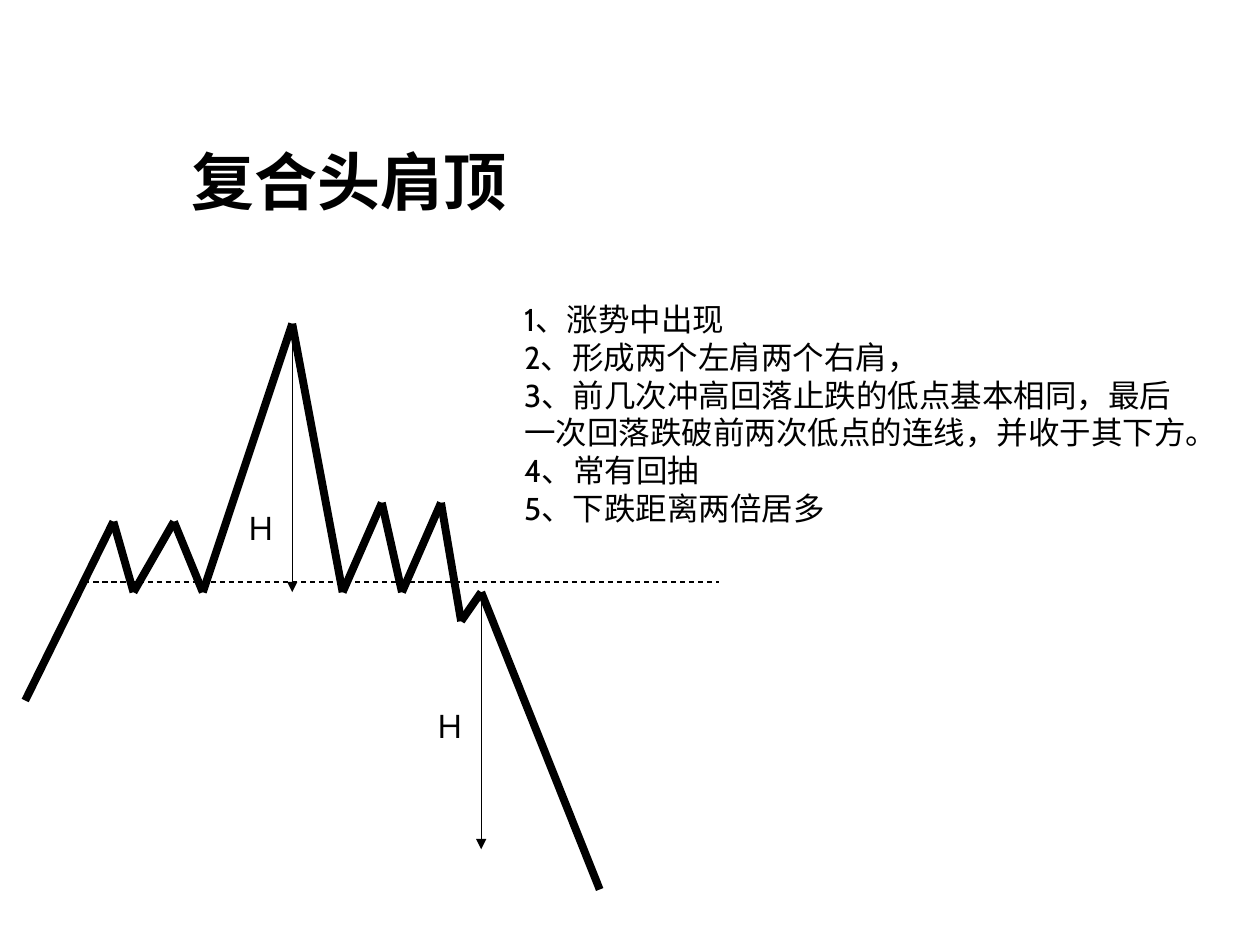
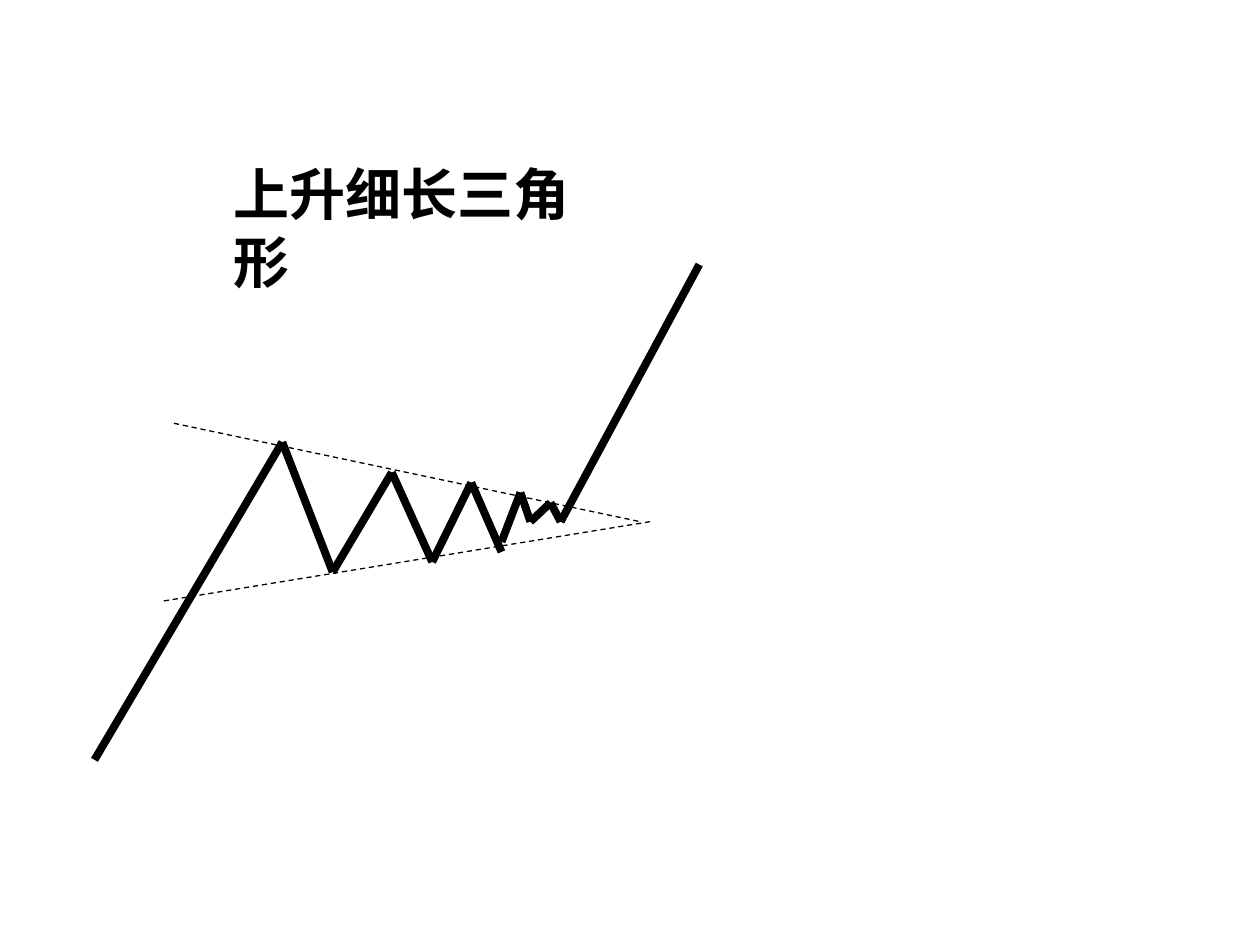
from dataclasses import dataclass
from itertools import pairwise

from pptx import Presentation
from pptx.dml.color import RGBColor
from pptx.enum.dml import MSO_LINE_DASH_STYLE as Dash
from pptx.enum.shapes import MSO_CONNECTOR_TYPE as Connector
from pptx.enum.text import MSO_ANCHOR as Anchor, MSO_AUTO_SIZE as AutoSize, PP_ALIGN as Align
from pptx.oxml.ns import qn
from pptx.util import Pt
from lxml.etree import SubElement


@dataclass(frozen=True)
class Theme:
    ink: RGBColor = RGBColor(0, 0, 0)
    font: str = "Cabin"
    first_title_size: float = 36
    second_title_size: float = 32
    body_size: float = 18
    price_width: float = 4.5
    guide_width: float = 0.75


class ChartPatternDeck:
    TITLE_AND_CONTENT = 1
    TITLE_ONLY = 5

    def __init__(self, theme):
        self.theme = theme
        self.deck = Presentation()
        self.deck.slide_width, self.deck.slide_height = Pt(720), Pt(540)
        self.slide = None

    def start(self, layout):
        self.slide = self.deck.slides.add_slide(self.deck.slide_layouts[layout])

    def fill_text(self, holder, lines, box, size, bold=False, wrap=False):
        holder.left, holder.top, holder.width, holder.height = map(Pt, box)
        frame = holder.text_frame
        frame.text = "\n".join(lines)
        frame.word_wrap = wrap
        frame.auto_size = AutoSize.SHAPE_TO_FIT_TEXT
        frame.vertical_anchor = Anchor.TOP
        for paragraph in frame.paragraphs:
            properties = paragraph._p.get_or_add_pPr()
            properties.set("marL", "0")
            properties.set("indent", "0")
            SubElement(properties, qn("a:buNone"))
            paragraph.alignment = Align.LEFT
            paragraph.space_before = Pt(0)
            for run in paragraph.runs:
                run.font.name = self.theme.font
                run.font.size = Pt(size)
                run.font.bold = bold
                run.font.color.rgb = self.theme.ink

    def title(self, wording, box, size):
        self.fill_text(self.slide.shapes.title, [wording], box, size, bold=True)

    def rules(self, lines, box):
        self.fill_text(self.slide.placeholders[1], lines, box, self.theme.body_size, wrap=True)

    def label(self, wording, left, top):
        box = (left, top, 32.4, 28.8)
        self.fill_text(self.slide.shapes.add_textbox(*map(Pt, box)), [wording], box, self.theme.body_size)

    def stroke(self, start, end, width):
        segment = self.slide.shapes.add_connector(Connector.STRAIGHT, *map(Pt, (*start, *end)))
        segment.line.color.rgb = self.theme.ink
        segment.line.width = Pt(width)
        SubElement(segment._element.spPr, qn("a:effectLst"))
        return segment

    def price(self, *turns):
        for start, end in pairwise(turns):
            self.stroke(start, end, self.theme.price_width)

    def trend_line(self, start, end):
        self.stroke(start, end, self.theme.guide_width).line.dash_style = Dash.DASH

    def height_arrow(self, start, end):
        arrow = self.stroke(start, end, self.theme.guide_width)
        SubElement(arrow._element.spPr.find(qn("a:ln")), qn("a:tailEnd"), type="triangle")


def head_and_shoulders(pattern):
    left_shoulder, right_shoulder, trough, neckline = 298.1, 287.3, 338.4, 332.6
    head, pullback = (167, 185), (275, trough)
    pattern.start(pattern.TITLE_AND_CONTENT)
    pattern.title("复合头肩顶", (102.2, 77.8, 195.1, 50.4), pattern.theme.first_title_size)
    pattern.rules(
        [
            "1、涨势中出现",
            "2、形成两个左肩两个右肩，",
            "3、前几次冲高回落止跌的低点基本相同，最后",
            "一次回落跌破前两次低点的连线，并收于其下方。",
            "4、常有回抽",
            "5、下跌距离两倍居多",
        ],
        (292.3, 167.8, 410.4, 158.4),
    )
    pattern.price(
        (14.4, 400.3), (64.8, left_shoulder), (76.3, trough), (99.4, left_shoulder),
        (115.9, trough), head, (195.8, trough), (218.2, right_shoulder),
        (229.7, trough), (252, right_shoulder), (263.5, 355), pullback, (342.7, 508.3),
    )
    pattern.trend_line((48.2, neckline), (411.1, neckline))
    pattern.height_arrow((head[0], 190.8), (head[0], trough))
    pattern.height_arrow(pullback, (pullback[0], 485.3))
    pattern.label("Ｈ", 133.2, 287.3)
    pattern.label("Ｈ", 241.2, 400.3)


def rising_triangle(pattern):
    apex = 298.1
    pattern.start(pattern.TITLE_ONLY)
    pattern.title("上升细长三角形", (126, 87.8, 238.3, 45.4), pattern.theme.second_title_size)
    pattern.trend_line((99.4, 241.9), (365.8, apex))
    pattern.trend_line((93.6, 343.4), (371.5, apex))
    pattern.price(
        (54, 434.2), (161.3, 252.7), (190.1, 326.9), (223.9, 270),
        (247, 321.1), (269.3, 275.8), (286.6, 315.4),
    )
    pattern.price(
        (286.6, 309.6), (297.4, 281.5), (303.1, apex),
        (314.6, 287.3), (320.4, apex), (399.6, 151.2),
    )


def main():
    pattern = ChartPatternDeck(Theme())
    head_and_shoulders(pattern)
    rising_triangle(pattern)
    pattern.deck.save("out.pptx")


if __name__ == "__main__":
    main()
